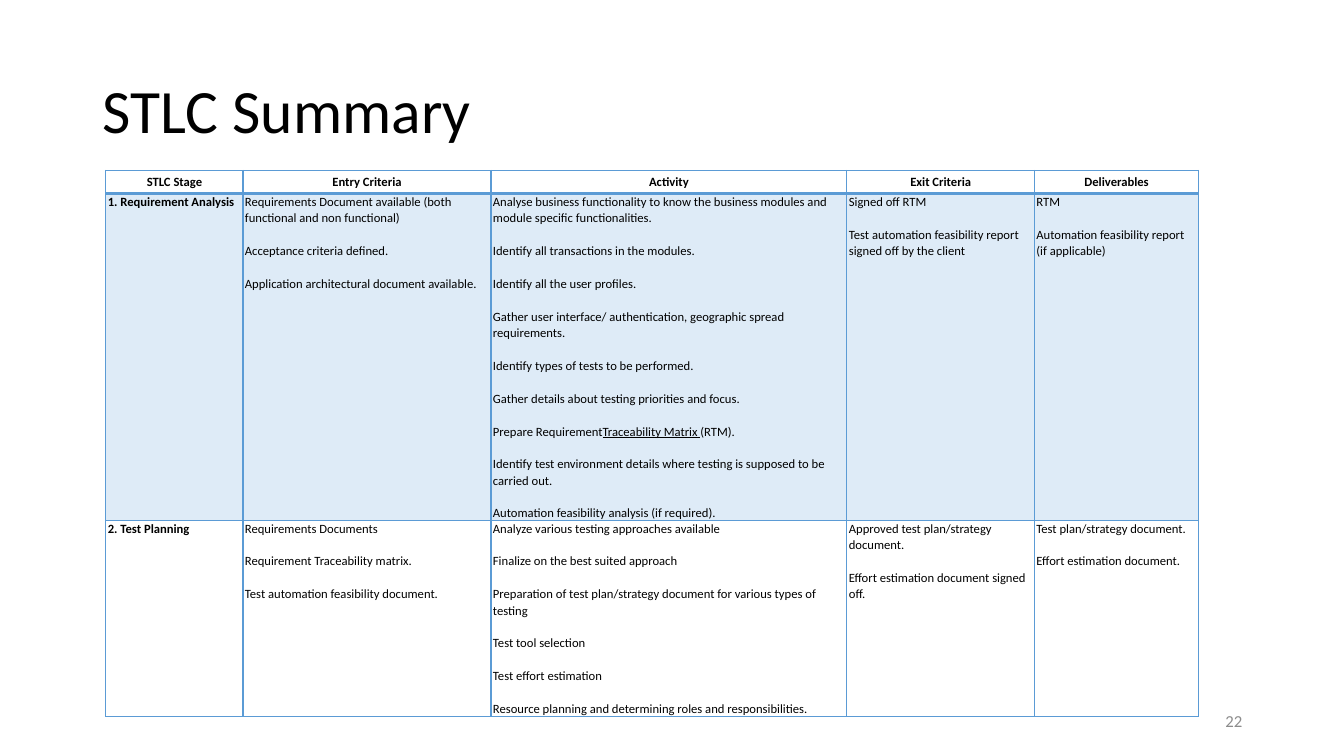
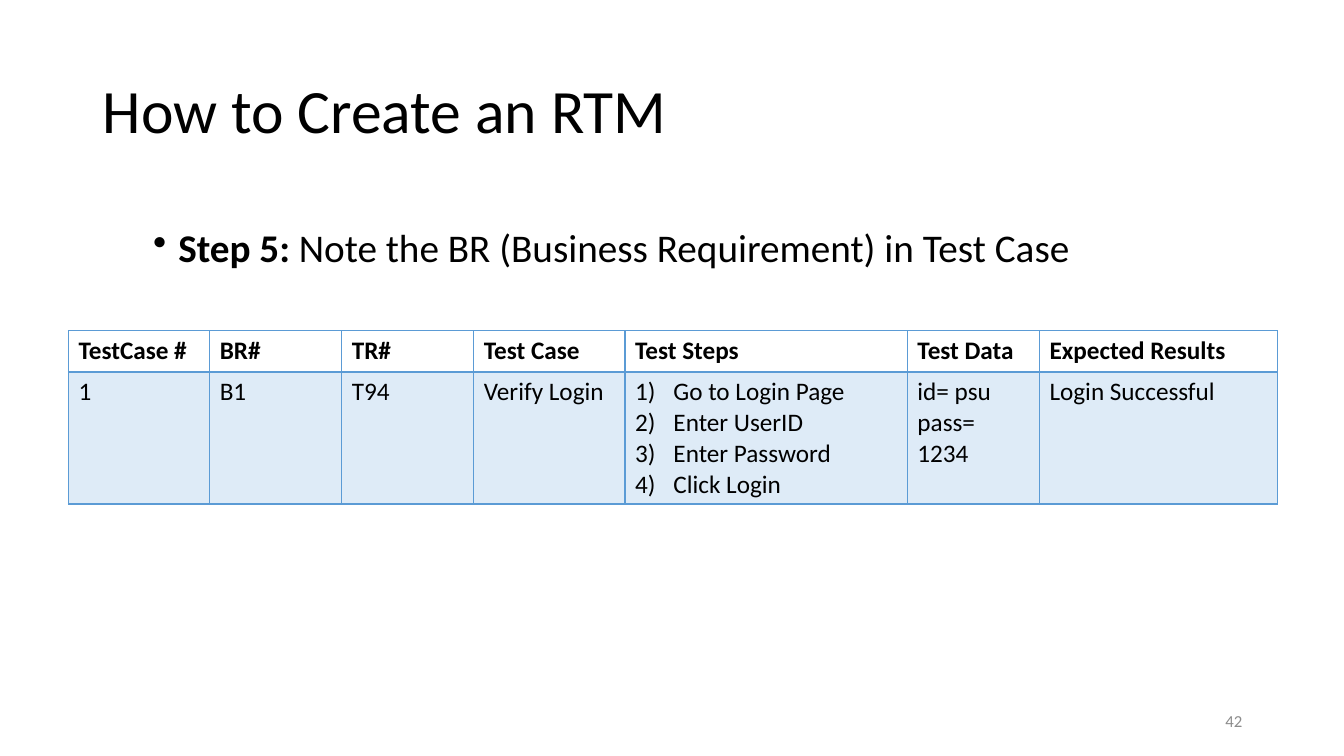
from dataclasses import dataclass
from typing import Any, Optional, Union

from lxml.etree import SubElement
from pptx import Presentation
from pptx.dml.color import RGBColor
from pptx.enum.text import MSO_ANCHOR, PP_ALIGN
from pptx.oxml.ns import qn
from pptx.util import Inches, Pt


# Theme
@dataclass(frozen=True)
class Theme:
    font: str = "Calibri"
    text: str = "000000"
    muted: str = "8C8C8C"
    paper: str = "FFFFFF"
    band: str = "DEEBF7"
    border: str = "5B9BD5"
    title_size: float = 44
    body_size: float = 28
    cell_size: float = 18
    small_cell_size: float = 9
    number_size: float = 12
    thin: float = 1
    thick: float = 2


THEME = Theme()


# Content types
@dataclass(frozen=True)
class Run:
    text: str
    bold: bool = False
    underline: bool = False


Para = Union[str, list[Run]]


@dataclass(frozen=True)
class Steps:
    items: list[str]


@dataclass(frozen=True)
class Grid:
    left: float
    top: float
    columns: list[float]
    rows: list[float]
    cells: list[list[Any]]
    size: float = THEME.cell_size
    margins: tuple[float, float] = (0.1, 0.05)
    header_align: PP_ALIGN = PP_ALIGN.LEFT
    header_anchor: MSO_ANCHOR = MSO_ANCHOR.TOP
    line_spacing: float = 1.0
    gap: float = 0
    bold_first_column: bool = False


# Text helpers
def apply(target: Any, values: dict[str, Any]) -> None:
    for name, value in values.items():
        setattr(target, name, value)


def set_list(p: Any, indent: float, tag: str, **attrs: str) -> None:
    pPr = p._p.get_or_add_pPr()
    pPr.set("marL", str(Inches(indent)))
    pPr.set("indent", str(-Inches(indent)))
    SubElement(pPr, qn(tag), attrs)


def add_runs(p: Any, para: Para, size: float, color: str = THEME.text,
             bold: bool = False) -> None:
    for run in [Run(para)] if isinstance(para, str) else para:
        r = p.add_run()
        r.text = run.text
        apply(r.font, {"name": THEME.font, "size": Pt(size), "bold": bold or run.bold,
                       "underline": run.underline})
        r.font.color.rgb = RGBColor.from_string(color)


def add_text(s: Any, box: tuple[float, float, float, float], para: Para, size: float,
             color: str = THEME.text, anchor: MSO_ANCHOR = MSO_ANCHOR.MIDDLE,
             **paragraph_format: Any) -> Any:
    tf = s.shapes.add_textbox(*map(Inches, box)).text_frame
    apply(tf, {"word_wrap": True, "vertical_anchor": anchor})
    p = tf.paragraphs[0]
    apply(p, paragraph_format)
    add_runs(p, para, size, color)
    return p


# Table helpers
def set_borders(cell: Any, top: float, bottom: float) -> None:
    tcPr = cell._tc.get_or_add_tcPr()
    widths = {"L": THEME.thin, "R": THEME.thin, "T": top, "B": bottom}
    for side, width in widths.items():
        ln = SubElement(tcPr, qn(f"a:ln{side}"), w=str(Pt(width)))
        SubElement(SubElement(ln, qn("a:solidFill")), qn("a:srgbClr"), val=THEME.border)


def fill_cell(cell: Any, content: Any, grid: Grid, row: int, column: int) -> None:
    header = row == 0
    x, y = map(Inches, grid.margins)
    apply(cell, {"margin_left": x, "margin_right": x, "margin_top": y, "margin_bottom": y,
                 "vertical_anchor": grid.header_anchor if header else MSO_ANCHOR.TOP})
    set_borders(cell, THEME.thick if row == 1 else THEME.thin,
                THEME.thick if header else THEME.thin)
    cell.fill.solid()
    cell.fill.fore_color.rgb = RGBColor.from_string(THEME.band if row % 2 else THEME.paper)

    numbered = isinstance(content, Steps)
    if numbered:
        paras = content.items
    else:
        paras = content if isinstance(content, list) else [content]
    tf = cell.text_frame
    for i, para in enumerate(paras):
        p = tf.add_paragraph() if i else tf.paragraphs[0]
        apply(p, {"alignment": grid.header_align if header else PP_ALIGN.LEFT,
                  "line_spacing": grid.line_spacing})
        if i and grid.gap:
            p.space_before = Pt(grid.gap)
        if numbered:
            set_list(p, 0.38, "a:buAutoNum", type="arabicParenR")
        add_runs(p, para, grid.size,
                 bold=header or (grid.bold_first_column and column == 0))


def add_grid(s: Any, grid: Grid) -> None:
    frame = s.shapes.add_table(
        len(grid.rows), len(grid.columns), Inches(grid.left), Inches(grid.top),
        Inches(sum(grid.columns)), Inches(sum(grid.rows)))
    table = frame.table
    apply(table, {"first_row": False, "horz_banding": False})
    for column, width in zip(table.columns, grid.columns):
        column.width = Inches(width)
    for row, height in zip(table.rows, grid.rows):
        row.height = Inches(height)
    for i, row_cells in enumerate(grid.cells):
        for j, content in enumerate(row_cells):
            fill_cell(table.cell(i, j), content, grid, i, j)


# Shared slide frame
def add_slide(prs: Any, title: str, number: int, grid: Grid,
              bullet: Optional[Para] = None) -> None:
    s = prs.slides.add_slide(prs.slide_layouts[6])
    add_text(s, (0.92, 0.4, 11.5, 1.45), title, THEME.title_size, line_spacing=0.9)
    if bullet:
        p = add_text(s, (1.42, 2.17, 10.5, 4.17), bullet, THEME.body_size,
                     anchor=MSO_ANCHOR.TOP)
        set_list(p, 0.25, "a:buChar", char="•")
    add_text(s, (9.42, 6.95, 3, 0.4), str(number), THEME.number_size, THEME.muted,
             alignment=PP_ALIGN.RIGHT)
    add_grid(s, grid)


# Slide content
STAGES = Grid(
    left=1.05, top=1.69,
    columns=[1.36, 2.46, 3.53, 1.86, 1.63], rows=[0.23, 3.24, 1.95],
    size=THEME.small_cell_size, margins=(0.02, 0),
    header_align=PP_ALIGN.CENTER, header_anchor=MSO_ANCHOR.MIDDLE,
    line_spacing=1.07, gap=11.7, bold_first_column=True,
    cells=[
        ["STLC Stage", "Entry Criteria", "Activity", "Exit Criteria", "Deliverables"],
        [
            "1. Requirement Analysis",
            ["Requirements Document available (both functional and non functional)",
             "Acceptance criteria defined.",
             "Application architectural document available."],
            ["Analyse business functionality to know the business modules and "
             "module specific functionalities.",
             "Identify all transactions in the modules.",
             "Identify all the user profiles.",
             "Gather user interface/ authentication, geographic spread requirements.",
             "Identify types of tests to be performed.",
             "Gather details about testing priorities and focus.",
             [Run("Prepare Requirement"), Run("Traceability Matrix ", underline=True),
              Run("(RTM).")],
             "Identify test environment details where testing is supposed to be "
             "carried out.",
             "Automation feasibility analysis (if required)."],
            ["Signed off RTM",
             "Test automation feasibility report signed off by the client"],
            ["RTM", "Automation feasibility report (if applicable)"],
        ],
        [
            "2. Test Planning",
            ["Requirements Documents",
             "Requirement Traceability matrix.",
             "Test automation feasibility document."],
            ["Analyze various testing approaches available",
             "Finalize on the best suited approach",
             "Preparation of test plan/strategy document for various types of testing",
             "Test tool selection",
             "Test effort estimation",
             "Resource planning and determining roles and responsibilities."],
            ["Approved test plan/strategy document.",
             "Effort estimation document signed off."],
            ["Test plan/strategy document.", "Effort estimation document."],
        ],
    ],
)

TEST_CASES = Grid(
    left=0.68, top=3.28,
    columns=[1.4, 1.31, 1.31, 1.5, 2.8, 1.31, 2.36], rows=[0.41, 1.31],
    cells=[
        ["TestCase #", "BR#", "TR#", "Test Case", "Test Steps", "Test Data",
         "Expected Results"],
        ["1", "B1", "T94", "Verify Login",
         Steps(["Go to Login Page", "Enter UserID", "Enter Password", "Click Login"]),
         ["id= psu", "pass= 1234"], "Login Successful"],
    ],
)


def main() -> None:
    prs = Presentation()
    apply(prs, {"slide_width": Inches(13.33), "slide_height": Inches(7.5)})
    add_slide(prs, "STLC Summary", 22, STAGES)
    add_slide(prs, "How to Create an RTM", 42, TEST_CASES,
              [Run("Step 5: ", bold=True),
               Run("Note the BR (Business Requirement) in Test Case")])
    prs.save("out.pptx")


if __name__ == "__main__":
    main()
